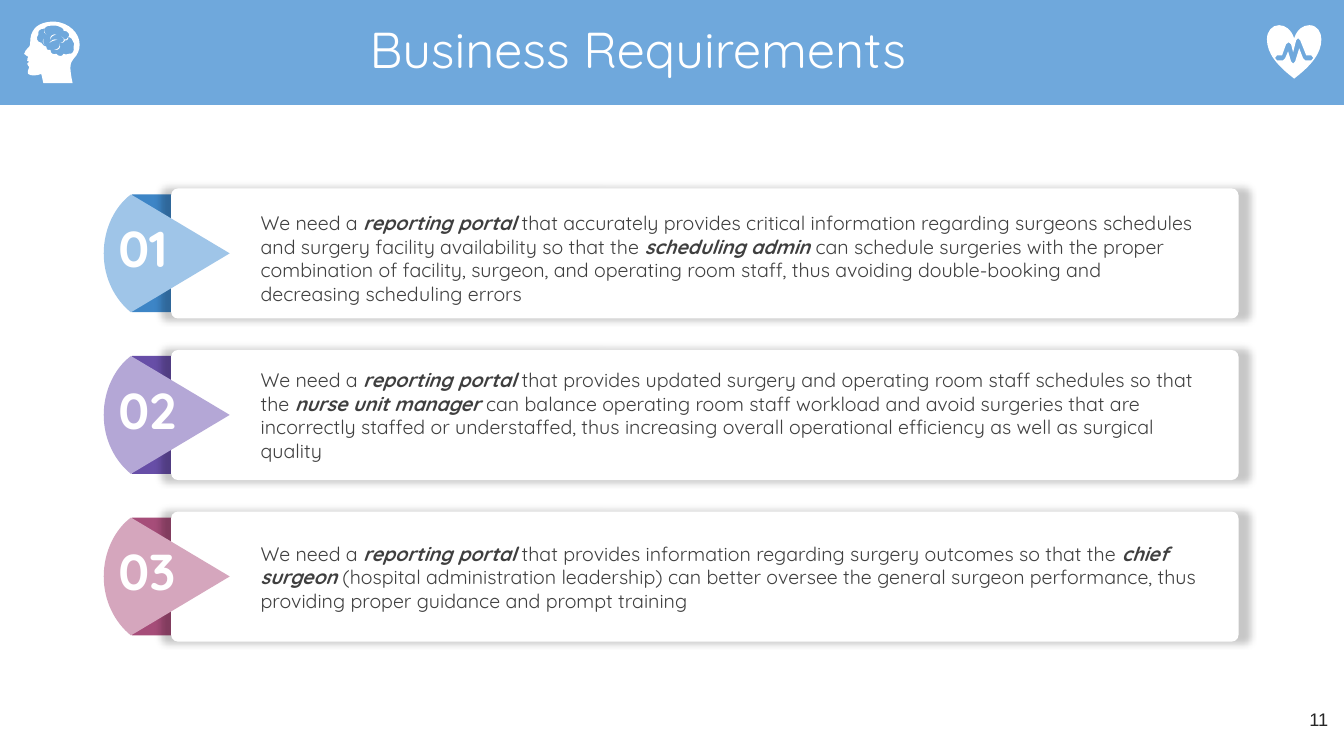
from dataclasses import dataclass

from lxml import etree
from pptx import Presentation
from pptx.dml.color import RGBColor
from pptx.enum import shapes, text
from pptx.oxml import ns
from pptx.util import Pt


@dataclass(frozen=True)
class Theme:
    white: str = "FFFFFF"
    header: str = "6FA8DC"
    body_text: str = "3F3F3F"
    page_text: str = "262626"
    font: str = "Quicksand"
    page_font: str = "Arial"
    title_size: float = 36
    number_size: float = 36
    body_size: float = 14
    page_size: float = 13


THEME = Theme()
DETAIL = 100  # sub-steps per outline unit
UNIT = 0.72   # points per outline unit

# Number, badge colour, fold colour, text offset from the card top, wording.
# Words between asterisks are stressed.
REQUIREMENTS = [
    ("01", "9FC5E8", "3D85C6", 17.3,
     "We need a *reporting portal* that accurately provides critical information "
     "regarding surgeons schedules and surgery facility availability so that the "
     "*scheduling admin* can schedule surgeries with the proper combination of facility, "
     "surgeon, and operating room staff, thus avoiding double-booking and decreasing "
     "scheduling errors"),
    ("02", "B4A7D6", "674EA7", 14.2,
     "We need a *reporting portal* that provides updated surgery and operating room staff "
     "schedules so that the *nurse unit manager* can balance operating room staff workload "
     "and avoid surgeries that are incorrectly staffed or understaffed, thus increasing "
     "overall operational efficiency as well as surgical quality"),
    ("03", "D5A6BD", "A64D79", 14.2,
     "We need a *reporting portal* that provides information regarding surgery outcomes "
     "so that the *chief surgeon* (hospital administration leadership) can better oversee "
     "the general surgeon performance, thus providing proper guidance and prompt training"),
]

# Each outline is a start point, then lines (x, y) and curves (two controls, end).
BADGE = [(125, 58.5), (27, 117), (11, 104, 0, 83, 0, 58.5), (0, 34, 11, 12, 27, 0)]
HEART = [(12, 0), (18, 0, 24, 4, 27, 13), (30, 4, 36, 0, 42, 0), (50, 0, 54, 7, 54, 14),
         (54, 28, 44, 40, 27, 53), (10, 40, 0, 28, 0, 14), (0, 6, 5, 0, 12, 0)]
PULSE = [(31, 13), (29, 15), (26, 27), (24, 19), (21.5, 17), (19, 19), (15, 30), (10, 30),
         (8, 32.5), (10, 35), (16, 35), (18, 33), (21, 26), (24, 36), (26, 38), (28, 36),
         (32, 23), (36, 33), (38, 35), (44, 35), (46, 32.5), (44, 30), (39, 30), (33, 15)]
HEAD = [(30, 0), (44, 1, 55, 11, 55, 23), (55, 28, 53, 33, 49, 37), (45, 41, 45, 47, 48, 61),
        (19, 61), (17, 52), (12, 54, 6, 54, 4, 52), (3, 51, 4, 47, 5, 45),
        (5, 44, 3, 44, 3, 42), (3, 41, 4, 41, 5, 40), (3, 39), (2, 38, 4, 36, 4, 35),
        (2, 34, 1, 33, 0, 32), (0, 30, 2, 28, 5, 25), (7, 22, 5, 19, 7, 13),
        (10, 4, 18, 0, 30, 0)]
BRAIN = [(28, 4), (32, 4, 34, 4, 37, 6), (39, 7, 39, 8, 39, 9), (44, 9, 46, 14, 44, 15),
         (47, 16, 48, 18, 48, 19), (50, 21, 50, 23, 49, 25), (50, 29, 48, 33, 44, 32),
         (42, 33, 41, 33, 39, 32), (38, 35, 34, 35, 32, 32), (29, 33, 26, 32, 26, 28),
         (24, 29, 22, 28, 22, 25), (20, 25, 18, 23, 17, 21), (13, 21, 11, 16, 14, 13),
         (13, 9, 16, 7, 20, 7), (22, 4, 25, 4, 28, 4)]
# Start, two controls and end of each fold inside the brain.
FISSURES = [
    (20, 7, 19, 10, 20, 12, 22, 13),
    (33, 18, 29, 17, 26, 19, 25, 21),
    (26, 18, 25, 14, 29, 12, 32, 13),
    (19, 17, 18, 19, 18, 21, 20, 23),
    (30, 28, 33, 28, 36, 25, 35, 22),
    (37, 15, 41, 16, 40, 21, 36, 21),
    (39, 18, 41, 19, 43, 17, 44, 15),
]


def paint(shape, fill):
    shape.shadow.inherit = False
    shape.fill.solid()
    shape.fill.fore_color.rgb = RGBColor.from_string(fill)
    shape.line.fill.background()


def add_block(slide, kind, left, top, width, height, fill):
    block = slide.shapes.add_shape(kind, Pt(left), Pt(top), Pt(width), Pt(height))
    paint(block, fill)
    return block


def bend(line, segment):
    """Replace a straight path segment by a cubic curve."""
    curve = etree.Element(ns.qn("a:cubicBezTo"))
    for x, y in zip(segment[::2], segment[1::2]):
        etree.SubElement(curve, ns.qn("a:pt"), x=str(round(x * DETAIL)),
                         y=str(round(y * DETAIL)))
    line.getparent().replace(line, curve)


def add_outline(slide, left, top, fill, *contours):
    """Draw contours as one shape; inner contours cut holes."""
    builder = None
    for contour in contours:
        (x, y), *ends = [(s[-2] * DETAIL, s[-1] * DETAIL) for s in contour]
        if builder is None:
            builder = slide.shapes.build_freeform(x, y, scale=Pt(UNIT) / DETAIL)
        else:
            builder.move_to(x, y)
        builder.add_line_segments(ends, close=True)
    outline = builder.convert_to_shape(Pt(left), Pt(top))
    paint(outline, fill)
    segments = [segment for contour in contours for segment in contour[1:]]
    lines = list(outline.element.iter(ns.qn("a:lnTo")))
    for line, segment in zip(lines, segments):
        if len(segment) == 6:
            bend(line, segment)


def sliver(x0, y0, x1, y1, x2, y2, x3, y3):
    """Thin closed contour that runs along a curve and back."""
    return [(x0, y0), (x1, y1, x2, y2, x3, y3), (x2 + 1, y2 + 1, x1 + 1, y1 + 1, x0, y0)]


def style(run, size, color, font=THEME.font, bold=False, italic=False):
    run.font.size, run.font.name = Pt(size), font
    run.font.bold, run.font.italic = bold, italic
    run.font.color.rgb = RGBColor.from_string(color)


def add_frame(slide, left, top, width, height, side=7.2, edge=3.6):
    """Add a wrapping text box and return its text frame."""
    frame = slide.shapes.add_textbox(Pt(left), Pt(top), Pt(width), Pt(height)).text_frame
    frame.word_wrap = True
    frame.margin_left = frame.margin_right = Pt(side)
    frame.margin_top = frame.margin_bottom = Pt(edge)
    return frame


def add_glow(card):
    """Give the card a soft shadow slightly larger than itself."""
    effects = card.element.spPr.find(ns.qn("a:effectLst"))
    shadow = etree.SubElement(effects, ns.qn("a:outerShdw"), blurRad=str(Pt(5)),
                              sx="102000", sy="102000", algn="ctr", rotWithShape="0")
    color = etree.SubElement(shadow, ns.qn("a:srgbClr"), val="000000")
    etree.SubElement(color, ns.qn("a:alpha"), val="22000")


def add_requirement(slide, left, top, width, height, requirement):
    number, badge_color, fold_color, wording_top, wording = requirement
    add_block(slide, shapes.MSO_SHAPE.RECTANGLE, left - 28.1, top + 4.3, 173.5, 84.2, fold_color)
    card = add_block(slide, shapes.MSO_SHAPE.ROUNDED_RECTANGLE, left, top, width, height,
                     THEME.white)
    card.adjustments[0] = 0.053
    add_glow(card)
    add_outline(slide, left - 48.1, top + 4.3, badge_color, BADGE)

    label = add_frame(slide, left - 46.3, top + 17, 90, 51.1, side=8.6)
    label.text = number
    style(label.paragraphs[0].runs[0], THEME.number_size, THEME.white, bold=True)

    statement = add_frame(slide, left + 56.9, top + wording_top, 683.3, 64.8)
    statement.vertical_anchor = text.MSO_ANCHOR.MIDDLE
    for index, part in enumerate(wording.split("*")):
        run = statement.paragraphs[0].add_run()
        run.text = part
        stressed = index % 2 == 1
        style(run, THEME.body_size, THEME.body_text, bold=stressed, italic=stressed)


def add_header(slide, width, height):
    band = add_block(slide, shapes.MSO_SHAPE.RECTANGLE, 0, 0, width, height, THEME.header)
    title = slide.shapes.title
    title.element.addprevious(band.element)
    title.left, title.top, title.width, title.height = Pt(0), Pt(8.6), Pt(width - 48.8), Pt(56.9)
    frame = title.text_frame
    frame.text = "Business Requirements"
    frame.auto_size = text.MSO_AUTO_SIZE.NONE
    frame.vertical_anchor = text.MSO_ANCHOR.MIDDLE
    heading = frame.paragraphs[0]
    heading.alignment = text.PP_ALIGN.CENTER
    heading.line_spacing = 0.9
    style(heading.runs[0], THEME.title_size, THEME.white)
    add_outline(slide, width - 55, 18, THEME.white, HEART, PULSE)
    add_outline(slide, 17.3, 15.4, THEME.white, HEAD, BRAIN,
                *[sliver(*fissure) for fissure in FISSURES])


def add_page_number(slide, left, top, width, height):
    frame = add_frame(slide, left, top, width, height, edge=7.2)
    frame.text = "11"
    frame.paragraphs[0].alignment = text.PP_ALIGN.RIGHT
    style(frame.paragraphs[0].runs[0], THEME.page_size, THEME.page_text, THEME.page_font)


def main():
    deck = Presentation()
    deck.slide_width, deck.slide_height = Pt(960), Pt(540)
    slide = deck.slides.add_slide(deck.slide_layouts[5])
    add_header(slide, 960, 75)
    for row, requirement in enumerate(REQUIREMENTS):
        add_requirement(slide, 122.2, 134.6 + row * 115.4, 762.5, 92.9, requirement)
    add_page_number(slide, 898.3, 499, 57.6, 41)
    deck.save("out.pptx")


if __name__ == "__main__":
    main()
